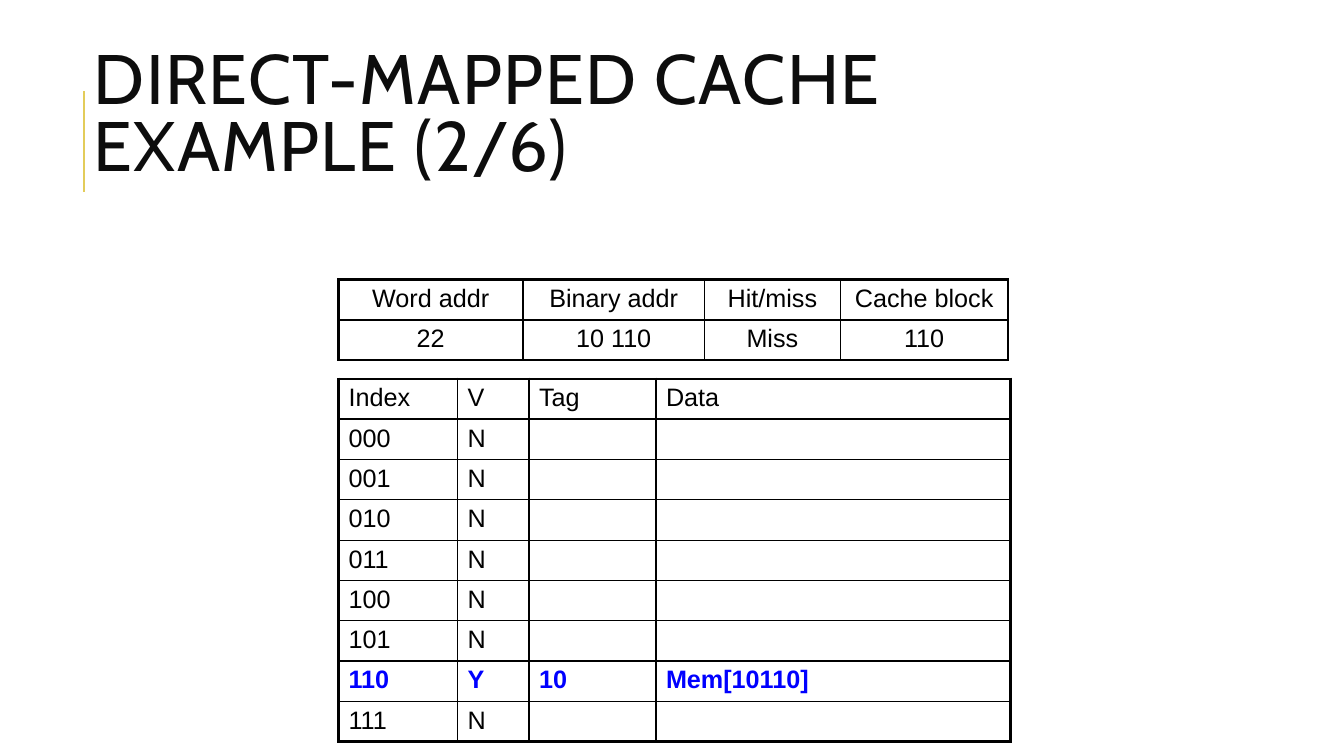
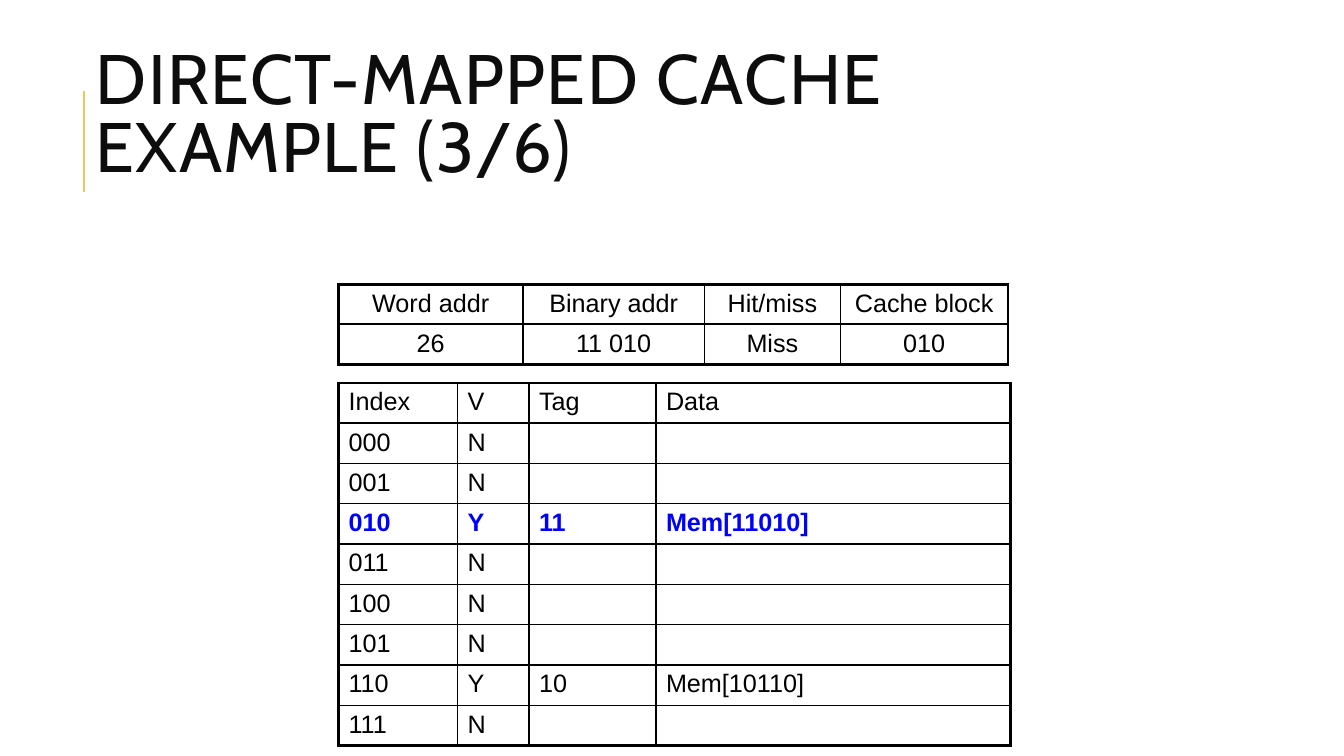
from dataclasses import dataclass

from lxml import etree
from pptx import Presentation
from pptx.dml.color import RGBColor
from pptx.enum.shapes import MSO_CONNECTOR
from pptx.enum.text import MSO_ANCHOR, MSO_AUTO_SIZE, PP_ALIGN
from pptx.oxml.ns import qn
from pptx.util import Cm, Pt

LEFT, CENTER = PP_ALIGN.LEFT, PP_ALIGN.CENTER
MIDDLE = MSO_ANCHOR.MIDDLE
NO_FIT = MSO_AUTO_SIZE.NONE
STRAIGHT = MSO_CONNECTOR.STRAIGHT
TITLE_ONLY = 5
BLOCKS = 8


@dataclass(frozen=True)
class Theme:
    """Colours, fonts, type sizes and line widths of the deck."""
    title: RGBColor = RGBColor(0x0D, 0x0D, 0x0D)
    text: RGBColor = RGBColor(0, 0, 0)
    mark: RGBColor = RGBColor(0, 0, 0xFF)
    accent: RGBColor = RGBColor(0xE3, 0xCC, 0x5A)
    head_font: str = "Cabin"
    body_font: str = "Arial"
    head_size: Pt = Pt(50)
    body_size: Pt = Pt(18)
    spacing: int = 100
    outer: Pt = Pt(2.25)
    rule: Pt = Pt(1.5)
    inner: Pt = Pt(1)


THEME = Theme()

# Word address, title box and tops of the two tables, in cm
STEPS = [
    (22, (2.11, 1.78, 27, 2.36), 7.04, 9.55),
    (26, (2.16, 1.42, 27, 3.12), 7.16, 9.65),
]


def set_font(para, name, size, color, bold=False):
    """Format all text of a paragraph."""
    font = para.font
    font.name, font.size, font.bold = name, size, bold
    font.color.rgb = color


def add_title(slide, text, box):
    """Place and format the title placeholder."""
    shape = slide.shapes.title
    shape.left, shape.top, shape.width, shape.height = map(Cm, box)
    frame = shape.text_frame
    frame.text = text
    frame.word_wrap = True
    frame.auto_size = NO_FIT
    frame.vertical_anchor = MIDDLE
    para = frame.paragraphs[0]
    para.alignment = LEFT
    para.line_spacing = 0.8
    set_font(para, THEME.head_font, THEME.head_size, THEME.title)
    para.runs[0]._r.get_or_add_rPr().set("spc", str(THEME.spacing))


def add_accent(slide):
    """Draw the upright line beside the title."""
    line = slide.shapes.add_connector(
        STRAIGHT, Cm(2.11), Cm(4.83), Cm(2.11), Cm(2.29))
    line.line.color.rgb = THEME.accent
    line.line.width = THEME.rule
    etree.SubElement(line._element.spPr, qn("a:effectLst"))


def set_edges(cell, widths):
    """Draw the left, right, top and bottom borders of a cell."""
    props = cell._tc.get_or_add_tcPr()
    for side, width in zip("LRTB", widths):
        edge = etree.SubElement(props, qn(f"a:ln{side}"), w=str(int(width)))
        fill = etree.SubElement(edge, qn("a:solidFill"))
        etree.SubElement(fill, qn("a:srgbClr"), val=str(THEME.text))


def add_grid(slide, rows, top, height, widths, align, marked=None):
    """Add a ruled table; the marked row is bold and coloured."""
    last, end = len(rows) - 1, len(widths) - 1
    table = slide.shapes.add_table(
        len(rows), len(widths), Cm(8.53), Cm(top),
        Cm(sum(widths)), Cm(height)).table
    table.first_row = table.horz_banding = False
    for column, width in zip(table.columns, widths):
        column.width = Cm(width)
    outer, rule, inner = THEME.outer, THEME.rule, THEME.inner
    for r, row in enumerate(rows):
        above = outer if r == 0 else rule if r == 1 else inner
        below = outer if r == last else rule if r == 0 else inner
        bold = r == marked
        color = THEME.mark if bold else THEME.text
        for c, text in enumerate(row):
            cell = table.cell(r, c)
            cell.text = text
            para = cell.text_frame.paragraphs[0]
            para.alignment = align
            set_font(para, THEME.body_font, THEME.body_size, color, bold)
            set_edges(cell, (outer if c == 0 else inner,
                             outer if c == end else inner, above, below))
            cell.fill.background()


def add_access(slide, word, hit, top):
    """Show the requested address and its outcome."""
    tag, index = divmod(word, BLOCKS)
    rows = [("Word addr", "Binary addr", "Hit/miss", "Cache block"),
            (str(word), f"{tag:02b} {index:03b}",
             "Hit" if hit else "Miss", f"{index:03b}")]
    add_grid(slide, rows, top, 2.03, (4.65, 4.57, 3.43, 4.22), CENTER)


def add_cache(slide, cache, latest, top):
    """Show every cache block and mark the latest one."""
    rows = [("Index", "V", "Tag", "Data")]
    for index in range(BLOCKS):
        key = f"{index:03b}"
        if index in cache:
            tag = f"{cache[index]:02b}"
            rows.append((key, "Y", tag, f"Mem[{tag}{key}]"))
        else:
            rows.append((key, "N", "", ""))
    add_grid(slide, rows, top, 9.14, (3, 1.8, 3.2, 8.94), LEFT, latest + 1)


def main():
    """Build one slide for each cache access."""
    deck = Presentation()
    deck.slide_width, deck.slide_height = Cm(33.87), Cm(19.05)
    cache = {}
    for page, (word, box, high, low) in enumerate(STEPS, 2):
        tag, index = divmod(word, BLOCKS)
        hit = cache.get(index) == tag
        cache[index] = tag
        slide = deck.slides.add_slide(deck.slide_layouts[TITLE_ONLY])
        add_accent(slide)
        add_title(slide, f"DIRECT-MAPPED CACHE EXAMPLE ({page}/6)", box)
        add_cache(slide, cache, index, low)
        add_access(slide, word, hit, high)
    deck.save("out.pptx")


main()
